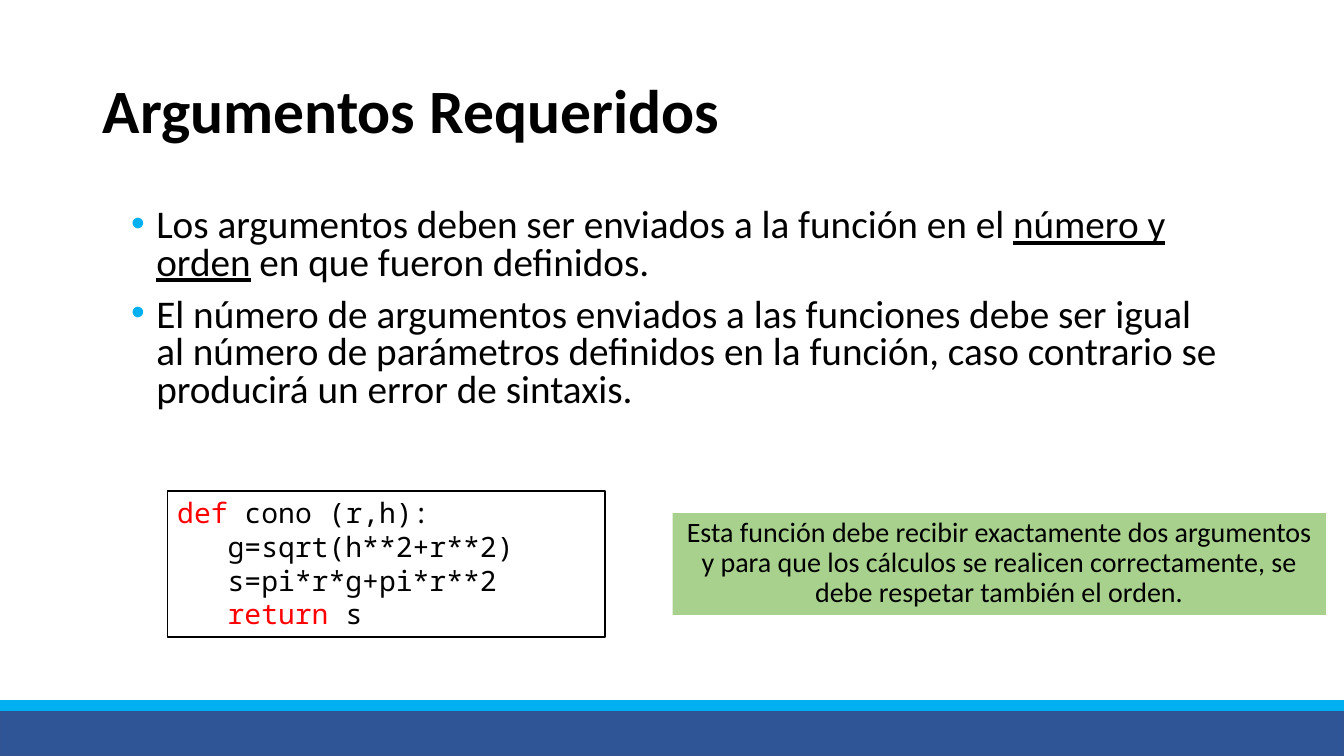
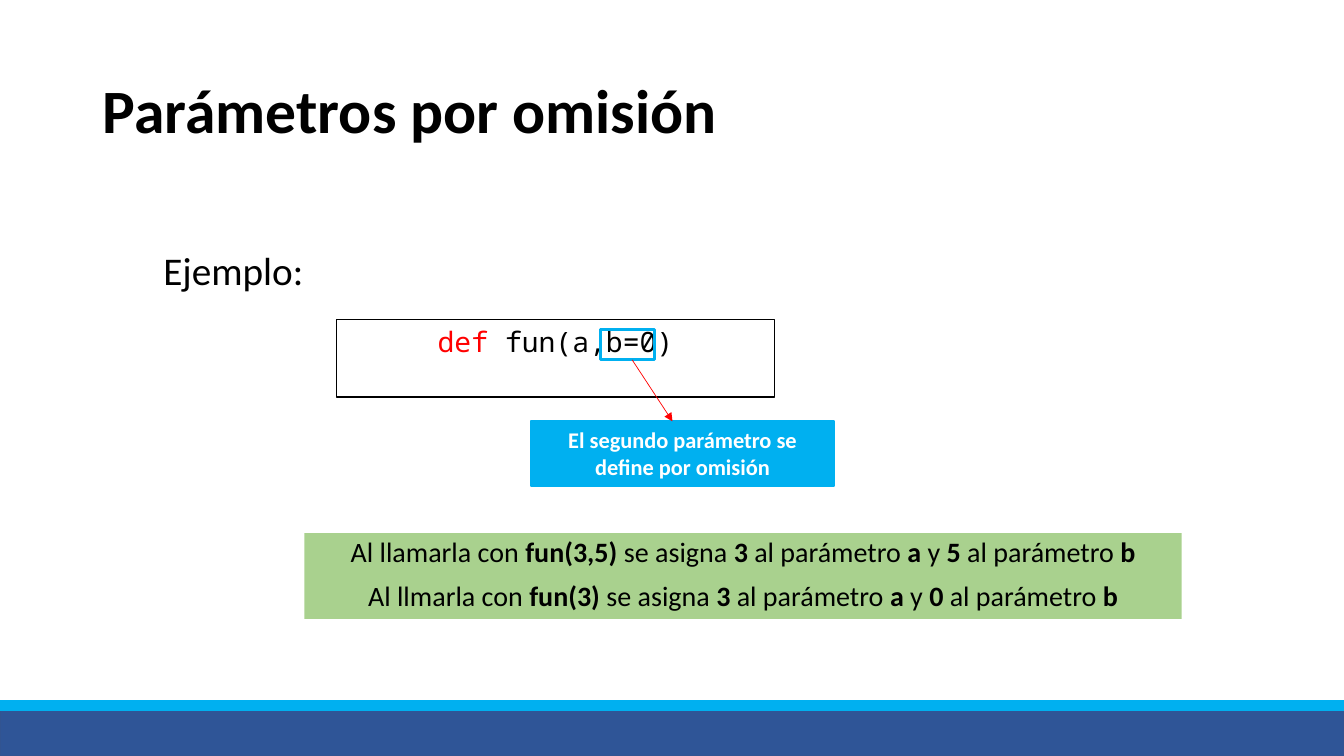
from dataclasses import dataclass
from typing import NamedTuple, Optional

from lxml import etree
from pptx import Presentation
from pptx.dml.color import RGBColor
from pptx.enum import shapes, text
from pptx.oxml import ns
from pptx.util import Inches, Pt

BLACK, WHITE, RED = "000000", "FFFFFF", "FF0000"
BLUE, CYAN, GREEN = "2F5597", "00B0F0", "A9D18E"
BLUE_EDGE = "325491"
SANS, MONO = "Calibri", "Noto Sans Mono"
LEFT, CENTER = text.PP_ALIGN.LEFT, text.PP_ALIGN.CENTER
TOP, MIDDLE = text.MSO_ANCHOR.TOP, text.MSO_ANCHOR.MIDDLE


class Run(NamedTuple):
    text: str
    color: Optional[str] = None
    bold: Optional[bool] = None
    underline: Optional[bool] = None


class Box(NamedTuple):
    left: float
    top: float
    width: float
    height: float


Line = list[Run]


@dataclass(frozen=True)
class Style:
    size: float
    font: str = SANS
    color: str = BLACK
    bold: bool = False
    align: text.PP_ALIGN = LEFT
    spacing: float = 1.0
    before: float = 0
    bullet: Optional[str] = None
    tab: Optional[float] = None


TITLE = Style(44, bold=True, spacing=0.9)
BULLETS = Style(28, spacing=0.8, before=10, bullet=CYAN)
BODY = Style(28, spacing=0.9, before=10)
NOTE = Style(20, align=CENTER, spacing=0.9, before=10)
CODE = Style(20, MONO, tab=1)
CODE_CENTERED = Style(20, MONO, align=CENTER)
CALLOUT = Style(16, color=WHITE, bold=True, align=CENTER)

TITLE_BOX = Box(0.92, 0.4, 11.5, 1.45)


def rgb(color: str) -> RGBColor:
    return RGBColor.from_string(color)


def place(sp, box: Box) -> None:
    sp.left, sp.top, sp.width, sp.height = map(Inches, box)


def add_xml(parent, tag: str, **attrs: str):
    return etree.SubElement(parent, ns.qn(tag), attrs)


def set_marks(p, style: Style) -> None:
    """Set the indent, bullet and tab stop of a paragraph."""
    pPr = p._p.get_or_add_pPr()
    indent = Inches(0.25) if style.bullet else 0
    pPr.set("marL", str(indent))
    pPr.set("indent", str(-indent))
    if style.bullet:
        add_xml(add_xml(pPr, "a:buClr"), "a:srgbClr", val=style.bullet)
        add_xml(pPr, "a:buFont", typeface="Arial")
        add_xml(pPr, "a:buChar", char="•")
    else:
        add_xml(pPr, "a:buNone")
    if style.tab:
        add_xml(add_xml(pPr, "a:tabLst"), "a:tab", pos=str(Inches(style.tab)), algn="l")


def write(sp, lines: list[Line], style: Style, anchor: text.MSO_ANCHOR = TOP) -> None:
    tf = sp.text_frame
    tf.word_wrap = True
    tf.auto_size = text.MSO_AUTO_SIZE.NONE
    tf.vertical_anchor = anchor
    for i, line in enumerate(lines):
        p = tf.add_paragraph() if i else tf.paragraphs[0]
        p.alignment = style.align
        p.line_spacing = style.spacing
        p.space_before, p.space_after = Pt(style.before), Pt(0)
        set_marks(p, style)
        p.font.name, p.font.size = style.font, Pt(style.size)
        p.font.bold = style.bold
        p.font.color.rgb = rgb(style.color)
        for run in line:
            r = p.add_run()
            r.text = run.text
            r.font.bold, r.font.underline = run.bold, run.underline
            if run.color:
                r.font.color.rgb = rgb(run.color)


def add_box(s, box: Box, fill: Optional[str] = None, line: Optional[str] = None,
            width: float = 1):
    sp = s.shapes.add_shape(shapes.MSO_SHAPE.RECTANGLE, *map(Inches, box))
    sp.shadow.inherit = False
    if fill:
        sp.fill.solid()
        sp.fill.fore_color.rgb = rgb(fill)
    else:
        sp.fill.background()
    if line:
        sp.line.color.rgb = rgb(line)
        sp.line.width = Pt(width)
    else:
        sp.line.fill.background()
    return sp


def add_note(s, box: Box, lines: list[Line]) -> None:
    write(add_box(s, box, GREEN), lines, NOTE)


def add_code(s, box: Box, lines: list[Line], style: Style) -> None:
    write(add_box(s, box, WHITE, BLACK), lines, style)


def add_arrow(s, start: tuple[float, float], end: tuple[float, float]) -> None:
    cxn = s.shapes.add_connector(shapes.MSO_CONNECTOR.STRAIGHT,
                                 *map(Inches, start + end))
    cxn.line.color.rgb = rgb(RED)
    cxn.line.width = Pt(0.5)
    add_xml(cxn.line._get_or_add_ln(), "a:tailEnd", type="triangle")
    add_xml(cxn._element.spPr, "a:effectLst")


def add_bands(prs, s) -> None:
    """Draw the footer bands and move them to the master, so all slides share them."""
    for box, fill, line in ((Box(0, 7.03, 13.33, 0.47), BLUE, BLUE_EDGE),
                            (Box(0, 6.95, 13.33, 0.1), CYAN, CYAN)):
        prs.slide_master.shapes.element.append(add_box(s, box, fill, line).element)


def add_slide(prs, title: str, body_box: Box, body: list[Line], style: Style):
    s = prs.slides.add_slide(prs.slide_layouts[1])
    place(s.shapes.title, TITLE_BOX)
    write(s.shapes.title, [[Run(title)]], TITLE, MIDDLE)
    place(s.placeholders[1], body_box)
    write(s.placeholders[1], body, style)
    return s


def call_line(intro: str, call: str, a: str, b: str) -> Line:
    """Explain which values a call assigns, with the values in bold."""
    parts = (intro, f"{call} ", "se asigna ", a, " al parámetro ", "a",
             " y ", b, " al parámetro ", "b")
    return [Run(part, bold=i % 2 == 1) for i, part in enumerate(parts)]


def build_required(prs):
    s = add_slide(prs, "Argumentos Requeridos", Box(1.2, 2.02, 11, 2.23), [
        [Run("Los argumentos deben ser enviados a la función en el "),
         Run("número y orden", underline=True),
         Run(" en que fueron definidos.")],
        [Run("El número de argumentos enviados a las funciones debe ser igual al "
             "número de parámetros definidos en la función, caso contrario se "
             "producirá un error de sintaxis.")],
    ], BULLETS)
    add_note(s, Box(6.67, 5.09, 6.48, 1.01), [
        [Run("Esta función debe recibir exactamente dos argumentos y para que los "
             "cálculos se realicen correctamente, se debe respetar también el orden.")],
    ])
    add_code(s, Box(1.66, 4.87, 4.34, 1.45), [
        [Run("def ", RED), Run("cono (r,h):")],
        [Run("\tg=sqrt(h**2+r**2)")],
        [Run("\ts=pi*r*g+pi*r**2")],
        [Run("\t"), Run("return ", RED), Run("s")],
    ], CODE)
    return s


def build_default(prs) -> None:
    s = add_slide(prs, "Parámetros por omisión", Box(1.52, 2.45, 11, 4.4),
                  [[Run("Ejemplo:")]], BODY)
    add_note(s, Box(3.02, 5.29, 8.7, 0.85), [
        call_line("Al llamarla con ", "fun(3,5)", "3", "5"),
        call_line("Al llmarla con ", "fun(3)", "3", "0"),
    ])
    add_code(s, Box(3.34, 3.17, 4.34, 0.77),
             [[Run("def ", RED), Run("fun(a,b=0)")]], CODE_CENTERED)
    callout = add_box(s, Box(5.27, 4.18, 3, 0.64), CYAN, CYAN, 1.5)
    write(callout, [[Run("El segundo parámetro se define por omisión")]], CALLOUT)
    add_box(s, Box(5.96, 3.27, 0.53, 0.3), line=CYAN, width=2.25)
    add_arrow(s, (6.27, 3.57), (6.67, 4.18))


def main() -> None:
    prs = Presentation()
    prs.slide_width, prs.slide_height = Inches(13.33), Inches(7.5)
    add_bands(prs, build_required(prs))
    build_default(prs)
    prs.save("out.pptx")


if __name__ == "__main__":
    main()
